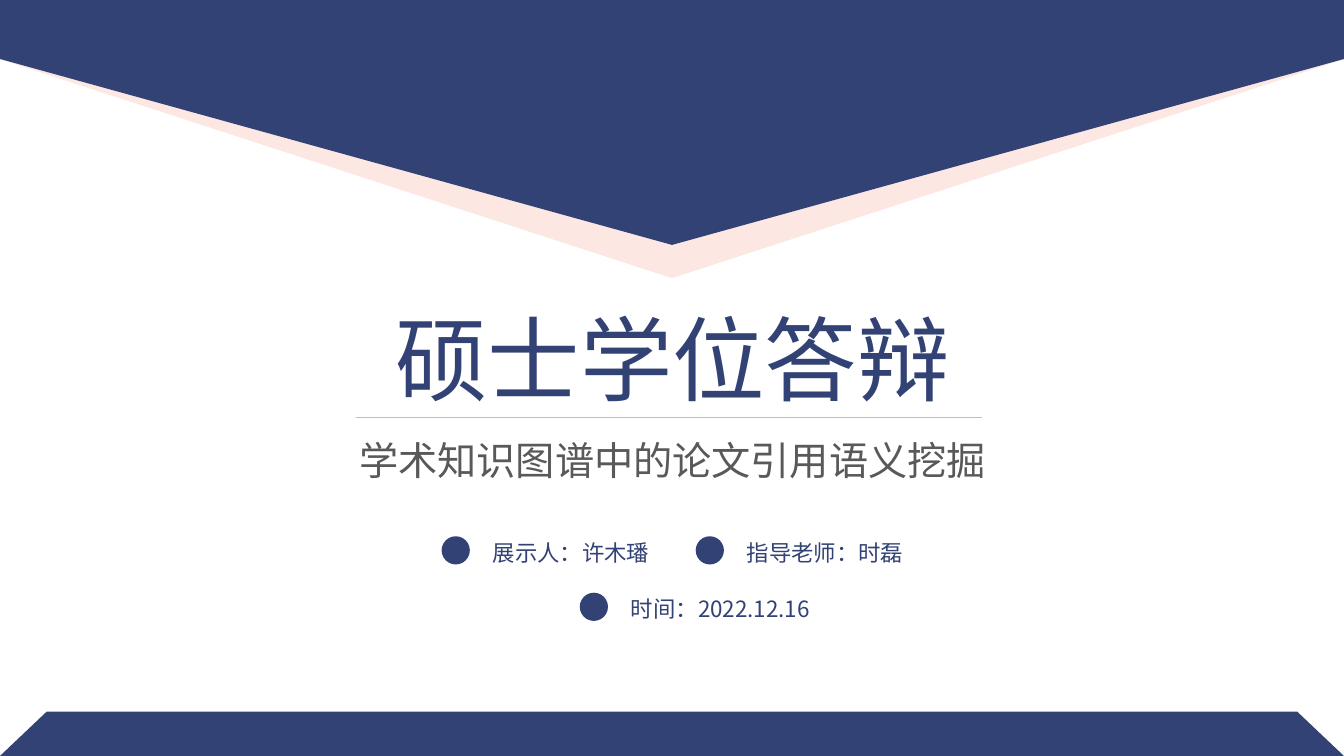
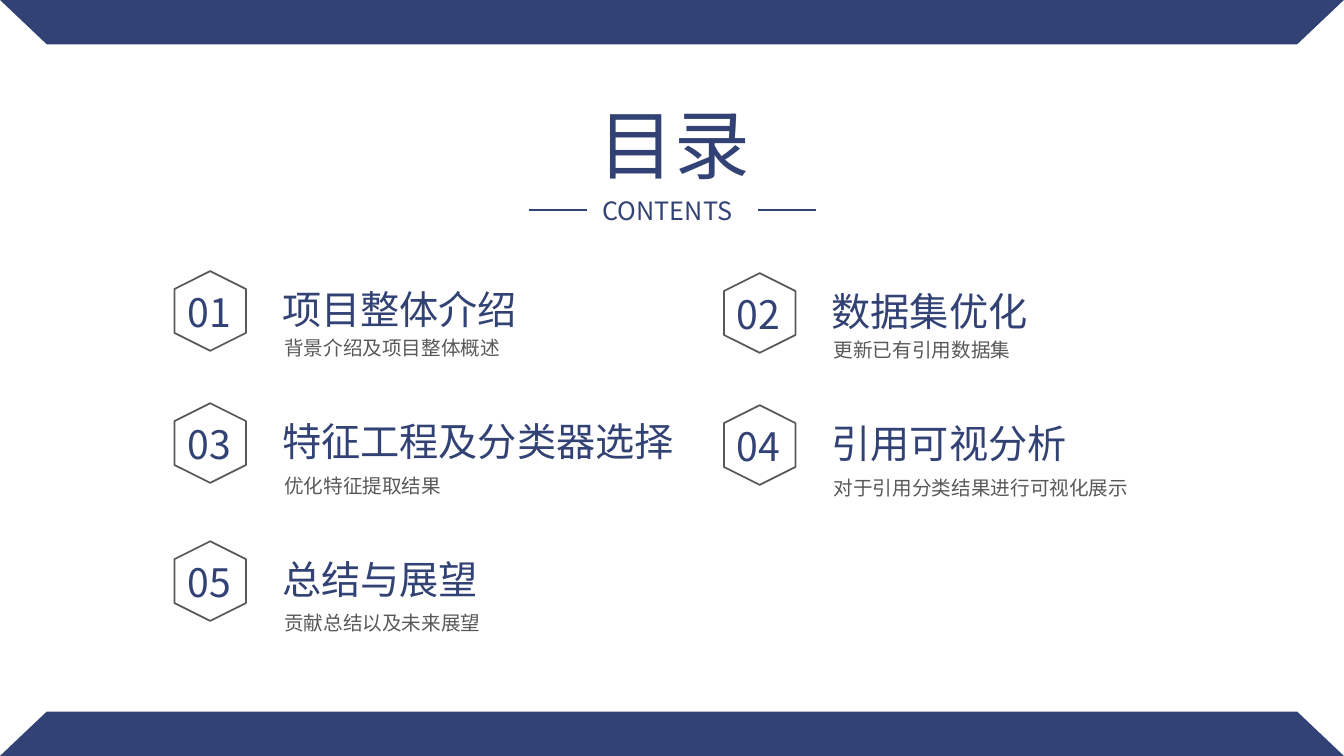
from lxml.etree import SubElement
from pptx import Presentation
from pptx.dml.color import RGBColor
from pptx.enum.shapes import MSO_CONNECTOR, MSO_SHAPE
from pptx.enum.text import MSO_ANCHOR, MSO_AUTO_SIZE, PP_ALIGN
from pptx.oxml.ns import qn
from pptx.util import Inches, Pt

WIDE, HIGH = 13.33, 7.5
BAND = 0.44
NAVY, PINK, GREY, PALE = "324274", "FCE7E2", "595959", "BFBFBF"
FACE = "Noto Sans CJK SC"

TITLE = "硕士学位答辩"
TOPIC = "学术知识图谱中的论文引用语义挖掘"
# text, dot left, dot top, text width
FACTS = [
    ("展示人：许木璠", 4.38, 5.32, 1.76),
    ("指导老师：时磊", 6.9, 5.32, 1.76),
    ("时间：2022.12.16", 5.75, 5.88, 2.04),
]
PARTS = [
    ("项目整体介绍", "背景介绍及项目整体概述"),
    ("数据集优化", "更新已有引用数据集"),
    ("特征工程及分类器选择", "优化特征提取结果"),
    ("引用可视分析", "对于引用分类结果进行可视化展示"),
    ("总结与展望", "贡献总结以及未来展望"),
]
COLS = [(1.69, 0), (7.14, 0.02)]  # left, drop
ROWS = [(2.73, 0.55), (4.04, 0.61), (5.41, 0.6)]  # top, gap to the note


def color(code):
    return RGBColor.from_string(code)


def place(item, left, top, wide, high):
    item.left, item.top = Inches(left), Inches(top)
    item.width, item.height = Inches(wide), Inches(high)


def write(item, text, size, code=NAVY, mid=False, wrap=False, lead=None):
    frame = item.text_frame
    frame.text = text
    frame.word_wrap = wrap
    frame.auto_size = MSO_AUTO_SIZE.SHAPE_TO_FIT_TEXT
    frame.vertical_anchor = MSO_ANCHOR.TOP
    para = frame.paragraphs[0]
    para.alignment = PP_ALIGN.CENTER if mid else PP_ALIGN.LEFT
    para.space_before = Pt(0)
    if lead:
        para.line_spacing = lead
    font = para.font
    font.size, font.name = Pt(size), FACE
    font.color.rgb = color(code)
    # Chinese glyphs take the East Asian face
    props = para._p.pPr.find(qn("a:defRPr"))
    SubElement(props, qn("a:ea")).set("typeface", FACE)


def label(slide, text, at, size, **look):
    box = slide.shapes.add_textbox(0, 0, 0, 0)
    place(box, *at)
    write(box, text, size, **look)


def shape(slide, kind, at, fill=None, line=None, turn=0, adj=None):
    item = slide.shapes.add_shape(kind, *map(Inches, at))
    item.shadow.inherit = False
    item.rotation = turn
    if adj is not None:
        item.adjustments[0] = adj
    if fill:
        item.fill.solid()
        item.fill.fore_color.rgb = color(fill)
    else:
        item.fill.background()
    if line:
        item.line.color.rgb = color(line)
        item.line.width = Pt(1.25)
    else:
        item.line.fill.background()
    return item


def rule(slide, start, end, y, code, width):
    line = slide.shapes.add_connector(
        MSO_CONNECTOR.STRAIGHT, *map(Inches, (start, y, end, y)))
    line.line.color.rgb = color(code)
    line.line.width = Pt(width)
    SubElement(line._element.spPr, qn("a:effectLst"))


def band(slide, top, flip=False):
    item = shape(slide, MSO_SHAPE.TRAPEZOID, (0, top, WIDE, BAND), NAVY, adj=1.054)
    if flip:
        item._element.spPr.xfrm.set("flipV", "1")


def wedge(slide, top, deep, fill, adj):
    """Full-width pennant that points down."""
    at = ((WIDE - deep) / 2, top + (deep - WIDE) / 2, deep, WIDE)
    shape(slide, MSO_SHAPE.PENTAGON, at, fill, turn=90, adj=adj)


def start(deck, layout):
    slide = deck.slides.add_slide(deck.slide_layouts[layout])
    band(slide, HIGH - BAND)
    return slide


def cover(deck):
    slide = start(deck, 0)
    wedge(slide, 0.13, 2.63, PINK, 0.826)
    wedge(slide, 0, 2.43, NAVY, 0.759)
    title, topic = slide.placeholders
    place(title, 2.96, 2.95, 7.42, 1.21)
    write(title, TITLE, 66, mid=True, wrap=True)
    place(topic, 3.45, 4.14, 6.44, 0.71)
    write(topic, TOPIC, 28, GREY, mid=True, wrap=True, lead=1.3)
    rule(slide, 3.53, 9.74, 4.14, PALE, 0.5)
    for text, left, top, wide in FACTS:
        shape(slide, MSO_SHAPE.OVAL, (left, top, 0.28, 0.28), NAVY)
        label(slide, text, (left + 0.41, top - 0.02, wide, 0.37), 16)


def agenda(deck):
    slide = start(deck, 5)
    band(slide, 0, flip=True)
    title = slide.shapes.title
    place(title, 5.19, 0.92, 3, 1.01)
    write(title, "目录", 54, mid=True, wrap=True)
    label(slide, "CONTENTS", (5.88, 1.89, 1.57, 0.4), 18)
    for left in (5.25, 7.52):
        rule(slide, left, left + 0.57, 2.08, NAVY, 1.25)
    for i, (head, note) in enumerate(PARTS):
        row, col = divmod(i, len(COLS))
        left, drop = COLS[col]
        top, gap = ROWS[row]
        top += drop
        shape(slide, MSO_SHAPE.HEXAGON, (left, top, 0.79, 0.71),
              line=GREY, turn=270)
        label(slide, f"{i + 1:02}", (left + 0.07, top + 0.08, 0.65, 0.57), 28)
        wide = 0.2 + len(head) * 28 / 72
        label(slide, head, (left + 1.01, top + 0.05, wide, 0.57), 28)
        label(slide, note, (left + 1.03, top + gap, 3.75, 0.34), 14,
              code=GREY, wrap=True)


def main():
    deck = Presentation()
    deck.slide_width, deck.slide_height = Inches(WIDE), Inches(HIGH)
    cover(deck)
    agenda(deck)
    deck.save("out.pptx")


if __name__ == "__main__":
    main()
